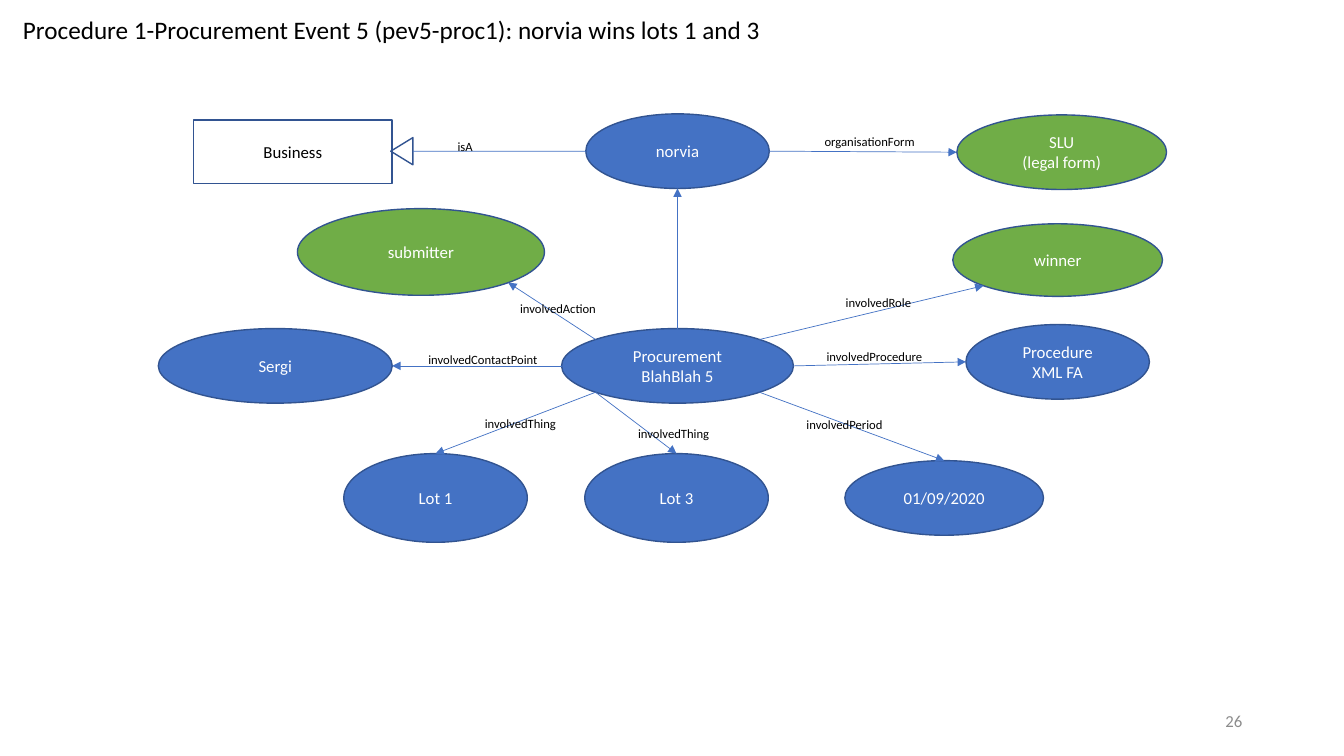
from dataclasses import dataclass
from math import cos, radians, sin

from lxml.etree import SubElement
from pptx import Presentation
from pptx.dml.color import RGBColor
from pptx.enum.shapes import MSO_CONNECTOR, MSO_SHAPE
from pptx.enum.text import MSO_ANCHOR, MSO_AUTO_SIZE, PP_ALIGN
from pptx.oxml.ns import qn
from pptx.util import Inches, Pt


@dataclass(frozen=True)
class Theme:
    font: str = "Calibri"
    blue: str = "4472C4"
    green: str = "70AD47"
    outline: str = "325491"
    white: str = "FFFFFF"
    black: str = "000000"
    gray: str = "8C8C8C"
    title: int = 18
    body: int = 12
    label: int = 9
    border: float = 1
    arrow: float = 0.5


T = Theme()
TOP, TOP_LEFT, LEFT, BOTTOM_LEFT, BOTTOM, BOTTOM_RIGHT, RIGHT, TOP_RIGHT = range(8)
TRIANGLE_BASE = 3

NODES = {
    "company": ("norvia", 5.81, 1.13, 1.82, 0.74, T.blue),
    "legal_form": ("SLU\n(legal form)", 9.49, 1.14, 2.08, 0.74, T.green),
    "submitter": ("submitter", 2.95, 2.07, 2.45, 0.86, T.green),
    "winner": ("winner", 9.45, 2.22, 2.08, 0.72, T.green),
    "contact": ("Sergi", 1.57, 3.26, 2.32, 0.74, T.blue),
    "event": ("Procurement BlahBlah 5", 5.57, 3.26, 2.3, 0.74, T.blue),
    "procedure": ("Procedure\nXML FA", 9.58, 3.22, 1.82, 0.74, T.blue),
    "lot1": ("Lot 1", 3.41, 4.5, 1.82, 0.88, T.blue),
    "lot3": ("Lot 3", 5.8, 4.5, 1.82, 0.88, T.blue),
    "period": ("01/09/2020", 8.38, 4.57, 1.97, 0.74, T.blue),
}

ARROWS = [
    ("company", RIGHT, "legal_form", LEFT),
    ("event", TOP, "company", BOTTOM),
    ("event", TOP_LEFT, "submitter", BOTTOM_RIGHT),
    ("event", TOP_RIGHT, "winner", BOTTOM_LEFT),
    ("event", LEFT, "contact", RIGHT),
    ("event", RIGHT, "procedure", LEFT),
    ("event", BOTTOM_LEFT, "lot1", TOP),
    ("event", BOTTOM_LEFT, "lot3", TOP),
    ("event", BOTTOM_RIGHT, "period", TOP),
]

LABELS = [
    ("isA", 4.44, 1.33, 0.35),
    ("organisationForm", 8.08, 1.28, 1.11),
    ("involvedAction", 5.06, 2.94, 0.97),
    ("involvedRole", 8.29, 2.88, 0.87),
    ("involvedContactPoint", 4.15, 3.44, 1.31),
    ("involvedProcedure", 8.1, 3.41, 1.17),
    ("involvedThing", 4.71, 4.08, 0.92),
    ("involvedThing", 6.23, 4.18, 0.92),
    ("involvedPeriod", 7.9, 4.09, 0.98),
]


def write(tf, text, size, color, align):
    tf.text = text
    for p in tf.paragraphs:
        p.alignment = align
        p.font.name = T.font
        p.font.size = Pt(size)
        p.font.color.rgb = RGBColor.from_string(color)


def add_box(s, kind, x, y, w, h, fill=None, text="", color=T.white):
    sp = s.shapes.add_shape(kind, Inches(x), Inches(y), Inches(w), Inches(h))
    sp.shadow.inherit = False
    if fill:
        sp.fill.solid()
        sp.fill.fore_color.rgb = RGBColor.from_string(fill)
    else:
        sp.fill.background()
    sp.line.color.rgb = RGBColor.from_string(T.outline)
    sp.line.width = Pt(T.border)
    if text:
        sp.text_frame.vertical_anchor = MSO_ANCHOR.MIDDLE
        write(sp.text_frame, text, T.body, color, PP_ALIGN.CENTER)
    return sp


def add_text(s, text, x, y, w, h, size, color=T.black):
    tf = s.shapes.add_textbox(Inches(x), Inches(y), Inches(w), Inches(h)).text_frame
    tf.word_wrap = False
    tf.auto_size = MSO_AUTO_SIZE.SHAPE_TO_FIT_TEXT
    write(tf, text, size, color, PP_ALIGN.LEFT)


def add_page_number(s, number):
    tf = s.shapes.add_textbox(Inches(9.42), Inches(6.95), Inches(3), Inches(0.4)).text_frame
    tf.word_wrap = True
    tf.vertical_anchor = MSO_ANCHOR.MIDDLE
    write(tf, number, T.body, T.gray, PP_ALIGN.RIGHT)


def ellipse_site(sp, site):
    angle = radians(45 * site)
    x = sp.left + sp.width / 2 * (1 - sin(angle))
    y = sp.top + sp.height / 2 * (1 - cos(angle))
    return round(x), round(y)


def add_link(s, start, start_site, end, end_site, end_point=None):
    begin = ellipse_site(start, start_site)
    finish = end_point or ellipse_site(end, end_site)
    cxn = s.shapes.add_connector(MSO_CONNECTOR.STRAIGHT, *begin, *finish)
    cxn.line.color.rgb = RGBColor.from_string(T.blue)
    cxn.line.width = Pt(T.arrow)
    props = cxn._element.find(".//" + qn("p:cNvCxnSpPr"))
    for tag, sp, site in (("a:stCxn", start, start_site), ("a:endCxn", end, end_site)):
        SubElement(props, qn(tag), id=str(sp.shape_id), idx=str(site))
    SubElement(cxn._element.spPr, qn("a:effectLst"))
    return cxn


def add_arrow(s, start, start_site, end, end_site):
    cxn = add_link(s, start, start_site, end, end_site)
    SubElement(cxn.line._get_or_add_ln(), qn("a:tailEnd"), type="triangle")


def add_inheritance(s, child):
    add_box(s, MSO_SHAPE.RECTANGLE, 1.92, 1.19, 1.97, 0.63, text="Business", color=T.black)
    head = add_box(s, MSO_SHAPE.ISOSCELES_TRIANGLE, 3.85, 1.39, 0.27, 0.22)
    head.rotation = 270
    base = (head.left + (head.width + head.height) // 2, head.top + head.height // 2)
    add_link(s, child, LEFT, head, TRIANGLE_BASE, base)


def main():
    prs = Presentation()
    prs.slide_width, prs.slide_height = Inches(13.33), Inches(7.5)
    s = prs.slides.add_slide(prs.slide_layouts[6])
    add_text(s, "Procedure 1-Procurement Event 5 (pev5-proc1): norvia wins lots 1 and 3",
             0.13, 0.09, 7.56, 0.4, T.title)
    nodes = {name: add_box(s, MSO_SHAPE.OVAL, x, y, w, h, fill, text)
             for name, (text, x, y, w, h, fill) in NODES.items()}
    add_inheritance(s, nodes["company"])
    for start, start_site, end, end_site in ARROWS:
        add_arrow(s, nodes[start], start_site, nodes[end], end_site)
    for text, x, y, w in LABELS:
        add_text(s, text, x, y, w, 0.25, T.label)
    add_page_number(s, "26")
    prs.save("out.pptx")


if __name__ == "__main__":
    main()
